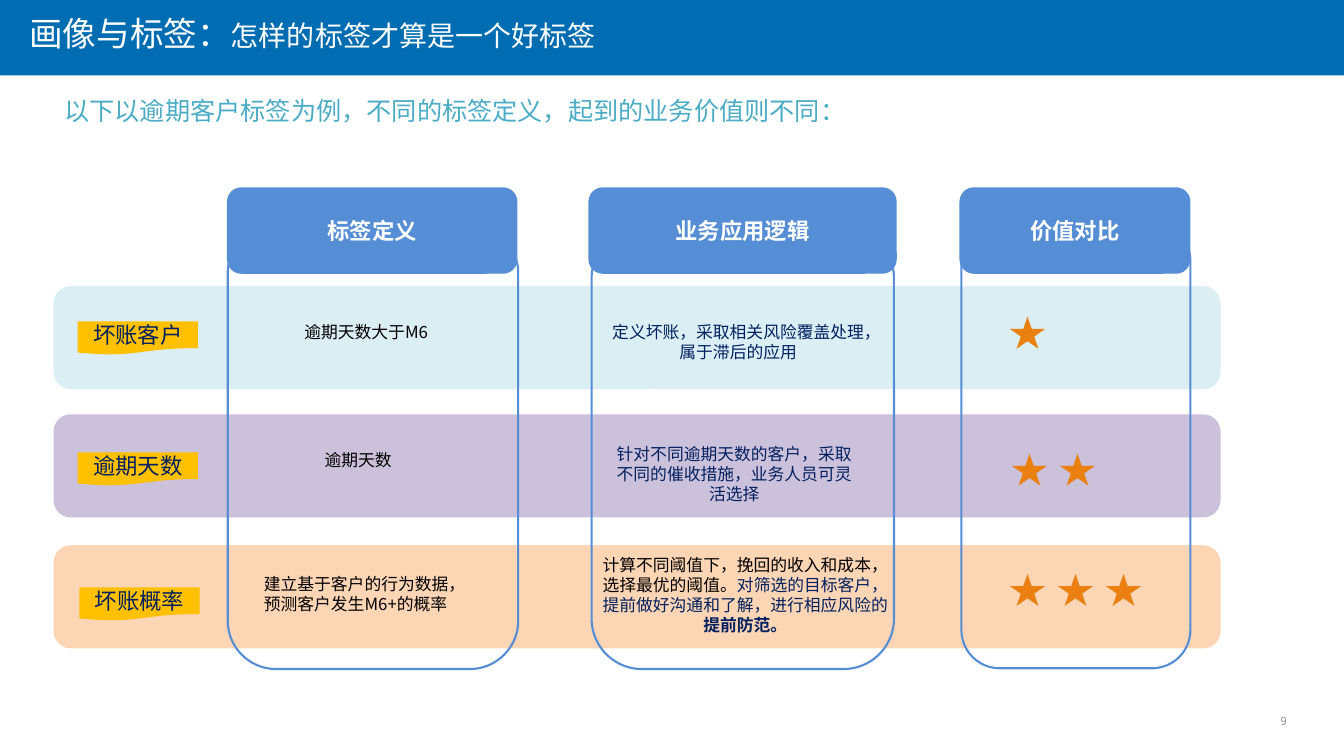
from lxml import etree
from pptx import Presentation
from pptx.dml.color import RGBColor
from pptx.enum.shapes import MSO_SHAPE
from pptx.enum.text import MSO_ANCHOR, PP_ALIGN
from pptx.oxml.ns import qn
from pptx.util import Cm, Pt

RECT = MSO_SHAPE.RECTANGLE
ROUND = MSO_SHAPE.ROUNDED_RECTANGLE
FLAG = MSO_SHAPE.FLOWCHART_DOCUMENT
STAR = MSO_SHAPE.STAR_5_POINT
TOP, MIDDLE = MSO_ANCHOR.TOP, MSO_ANCHOR.MIDDLE
LEFT, CENTER, RIGHT = PP_ALIGN.LEFT, PP_ALIGN.CENTER, PP_ALIGN.RIGHT

FONT = "Noto Sans CJK SC"
WHITE = RGBColor(0xFF, 0xFF, 0xFF)
BLACK = RGBColor(0, 0, 0)
NAVY = RGBColor(0x00, 0x20, 0x60)
BLUE = RGBColor(0x55, 0x8E, 0xD5)
BANNER = RGBColor(0x00, 0x6D, 0xB2)
TEAL = RGBColor(0x4B, 0xAC, 0xC6)
GRAY = RGBColor(0x8C, 0x8C, 0x8C)
GOLD = RGBColor(0xFF, 0xC0, 0x00)
ORANGE = RGBColor(0xEA, 0x80, 0x10)
AQUA = RGBColor(0xDB, 0xEE, 0xF4)
LILAC = RGBColor(0xCC, 0xC1, 0xDA)
PEACH = RGBColor(0xFC, 0xD5, 0xB5)

prs = Presentation()
prs.slide_width, prs.slide_height = Cm(33.87), Cm(19.05)
slide = prs.slides.add_slide(prs.slide_layouts[6])


def draw(kind, box, fill=None):
    shape = slide.shapes.add_shape(kind, *map(Cm, box))
    shape.shadow.inherit = False
    if fill is None:
        shape.fill.background()
        shape.line.color.rgb = BLUE
        shape.line.width = Pt(1.5)
    else:
        shape.fill.solid()
        shape.fill.fore_color.rgb = fill
        shape.line.fill.background()
    return shape


def write(target, paras, align=LEFT, anchor=TOP, side=0):
    if isinstance(target, tuple):
        target = slide.shapes.add_textbox(*map(Cm, target))
    frame = target.text_frame
    frame.word_wrap = True
    frame.vertical_anchor = anchor
    frame.margin_left = frame.margin_right = Cm(side)
    frame.margin_top = frame.margin_bottom = 0
    for i, runs in enumerate(paras):
        para = frame.add_paragraph() if i else frame.paragraphs[0]
        para.alignment = align
        for text, size, color, bold in runs:
            run = para.add_run()
            run.text = text
            run.font.size = Pt(size)
            run.font.bold = bold
            run.font.color.rgb = color
            run.font.name = FONT
            etree.SubElement(run.font._element, qn("a:ea"), typeface=FONT)


rows = [
    (7.21, AQUA, "坏账客户", (1.96, 8.1), (25.45, 7.98), 1),
    (10.44, LILAC, "逾期天数", (1.96, 11.4), (25.5, 11.43), 2),
    (13.74, PEACH, "坏账概率", (2.0, 14.8), (25.45, 14.46), 3),
]
heads = [
    ("标签定义", (5.72, 7.32), (5.74, 5.66, 7.32, 11.2)),
    ("业务应用逻辑", (14.83, 7.77), (14.91, 5.74, 7.62, 11.12)),
    ("价值对比", (24.18, 5.82), (24.23, 5.61, 5.77, 11.23)),
]
cells = [
    ((7.67, 8.1, 3.45, 0.51), LEFT, [[("逾期天数大于M6", 12, BLACK, False)]]),
    ((15.24, 8.1, 6.73, 1.02), CENTER, [
        [("定义坏账，采取相关风险覆盖处理，", 12, NAVY, False)],
        [("属于滞后的应用", 12, NAVY, False)]]),
    ((8.18, 11.33, 2.41, 0.51), LEFT, [[("逾期天数", 12, BLACK, False)]]),
    ((15.37, 11.18, 6.27, 1.55), CENTER, [
        [("针对不同逾期天数的客户，采取不同的催收措施，业务人员可灵活选择",
          12, NAVY, False)]]),
    ((6.65, 14.45, 5.46, 1.02), LEFT, [
        [("建立基于客户的行为数据，预测客户发生M6+的概率", 12, BLACK, False)]]),
    ((15.14, 13.97, 7.29, 2.06), CENTER, [
        [("计算不同阈值下，挽回的收入和成本，选择最优的阈值。", 12, BLACK, False),
         ("对筛选的目标客户，提前做好沟通和了解，进行相应风险的", 12, NAVY, False)],
        [("提前防范。", 12, NAVY, True)]]),
]

for top, fill, *rest in rows:
    draw(ROUND, (1.35, top, 29.41, 2.6), fill)

draw(RECT, (0, 0, 33.87, 1.9), BANNER)
write((0.74, 0.33, 31.06, 1.3), [[("画像与标签：", 24, WHITE, False),
                                  ("怎样的标签才算是一个好标签", 20, WHITE, False)]])
write((1.37, 2.41, 29.69, 1.52), [
    [("以下以逾期客户标签为例，不同的标签定义，起到的业务价值则不同：",
      18, TEAL, False)]], side=0.25)
write((29.51, 17.81, 2.92, 0.71), [[("9", 8, GRAY, False)]], RIGHT, MIDDLE)

for top, fill, name, spot, *rest in rows:
    flag = draw(FLAG, (*spot, 3.03, 0.84), GOLD)
    write(flag, [[(name, 16, NAVY, False)]], CENTER)

for box, align, paras in cells:
    write(box, paras, align)

for name, span, frame in heads:
    draw(ROUND, frame)

for *rest, (left, top), count in rows:
    for i in range(count):
        draw(STAR, (left + 1.21 * i, top, 0.89, 0.81), ORANGE)

for name, (left, width), frame in heads:
    head = draw(ROUND, (left, 4.72, width, 2.18), BLUE)
    write(head, [[(name, 16, WHITE, True)]], CENTER, MIDDLE, 0.13)

prs.save("out.pptx")
